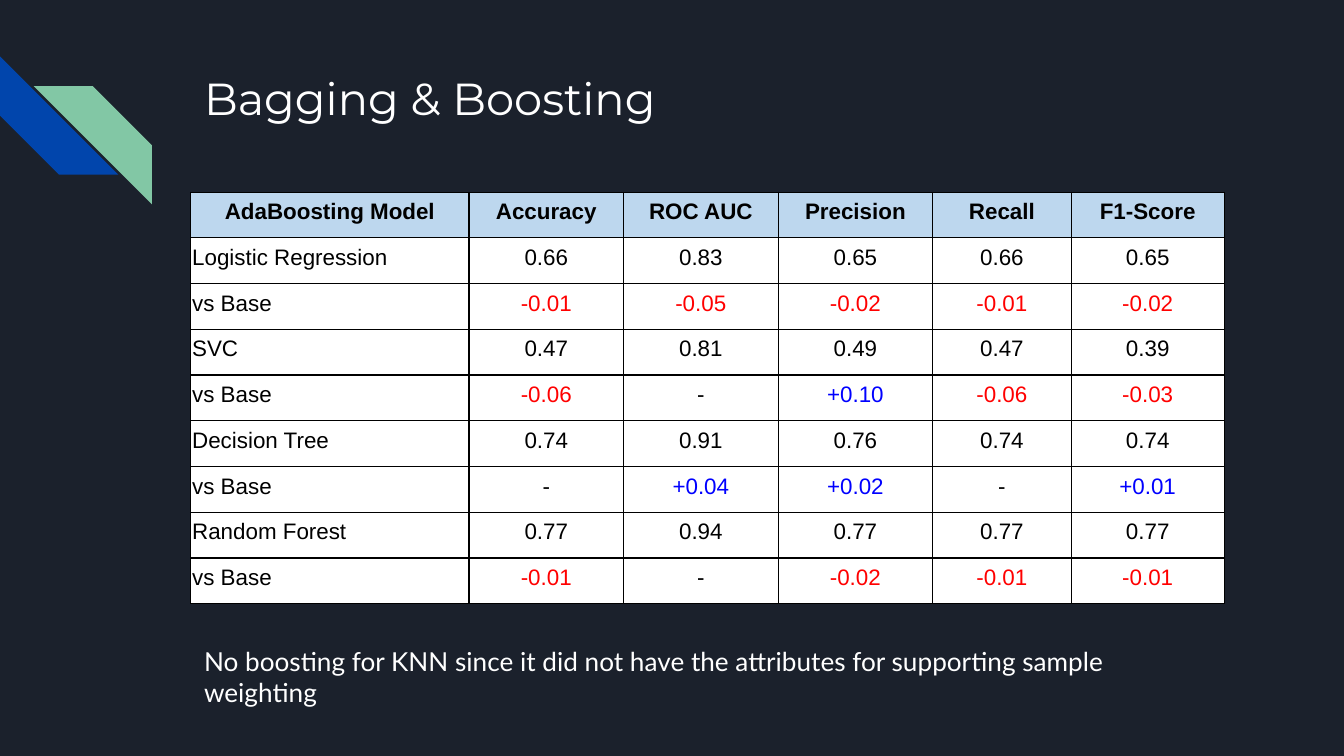
import pptx
import pptx.util
import pptx.dml.color
import pptx.enum.shapes
import pptx.enum.text
import pptx.oxml.ns
import lxml.etree

Inches = pptx.util.Inches
Pt = pptx.util.Pt
RGBColor = pptx.dml.color.RGBColor
ALIGN = pptx.enum.text.PP_ALIGN
qn = pptx.oxml.ns.qn

NAVY = RGBColor(0x1B, 0x21, 0x2C)
BLUE = RGBColor(0x01, 0x45, 0xAC)
GREEN = RGBColor(0x82, 0xC7, 0xA5)
HEADER = RGBColor(0xBD, 0xD7, 0xEE)
WHITE = RGBColor(0xFF, 0xFF, 0xFF)
BLACK = RGBColor(0x00, 0x00, 0x00)
LOSS = RGBColor(0xFF, 0x00, 0x00)
GAIN = RGBColor(0x00, 0x00, 0xFF)


def write_text(tf, text, font="Arial", size=12, color=BLACK, bold=False,
               align=ALIGN.LEFT, spacing=None):
    """Fill a text frame with one formatted paragraph."""
    tf.word_wrap = True
    p = tf.paragraphs[0]
    p.alignment = align
    p.line_spacing = spacing
    r = p.add_run()
    r.text = text
    r.font.name = font
    r.font.size = Pt(size)
    r.font.bold = bold
    r.font.color.rgb = color


def add_borders(cell, color=BLACK, width=0.75):
    """Draw a solid line on all four sides of a table cell."""
    tc_pr = cell._tc.get_or_add_tcPr()
    for side in ("a:lnL", "a:lnR", "a:lnT", "a:lnB"):
        ln = lxml.etree.SubElement(tc_pr, qn(side), w=str(Pt(width)))
        fill = lxml.etree.SubElement(ln, qn("a:solidFill"))
        lxml.etree.SubElement(fill, qn("a:srgbClr"), val=str(color))


prs = pptx.Presentation()
prs.slide_width = Inches(10)
prs.slide_height = Inches(10 * 9 / 16)
s = prs.slides.add_slide(prs.slide_layouts[6])
s.background.fill.solid()
s.background.fill.fore_color.rgb = NAVY

# Corner stripes
for left, top, color, rotation, flip in ((0, 0.42, BLUE, 270, False),
                                         (0.25, 0.64, GREEN, 0, True)):
    sp = s.shapes.add_shape(pptx.enum.shapes.MSO_SHAPE.DIAGONAL_STRIPE,
                            Inches(left), Inches(top), Inches(0.88), Inches(0.88))
    sp.shadow.inherit = False
    sp.adjustments[0] = 0.5
    sp.rotation = rotation
    sp.fill.solid()
    sp.fill.fore_color.rgb = color
    sp.line.fill.background()
    if flip:
        sp._element.spPr.find(qn("a:xfrm")).set("flipH", "1")

# Title and footnote
NOTE = ("No boosting for KNN since it did not have the attributes "
        "for supporting sample weighting")
for text, top, height, font, size in (
        ("Bagging & Boosting", 0.43, 1, "Montserrat", 24),
        (NOTE, 4.7, 0.44, "Lato", 14)):
    tf = s.shapes.add_textbox(Inches(1.42), Inches(top),
                              Inches(7.7), Inches(height)).text_frame
    tf.margin_left = tf.margin_right = Inches(0.1)
    tf.margin_top = tf.margin_bottom = Inches(0.1)
    write_text(tf, text, font=font, size=size, color=WHITE)

# Score table
ROWS = [
    ["AdaBoosting Model", "Accuracy", "ROC AUC", "Precision", "Recall", "F1-Score"],
    ["Logistic Regression", "0.66", "0.83", "0.65", "0.66", "0.65"],
    ["vs Base", "-0.01", "-0.05", "-0.02", "-0.01", "-0.02"],
    ["SVC", "0.47", "0.81", "0.49", "0.47", "0.39"],
    ["vs Base", "-0.06", "-", "+0.10", "-0.06", "-0.03"],
    ["Decision Tree", "0.74", "0.91", "0.76", "0.74", "0.74"],
    ["vs Base", "-", "+0.04", "+0.02", "-", "+0.01"],
    ["Random Forest", "0.77", "0.94", "0.77", "0.77", "0.77"],
    ["vs Base", "-0.01", "-", "-0.02", "-0.01", "-0.01"],
]
WIDTHS = [2.07, 1.15, 1.15, 1.15, 1.03, 1.14]
ROW_HEIGHT = 0.22

frame = s.shapes.add_table(len(ROWS), len(WIDTHS), Inches(1.42), Inches(1.43),
                           Inches(sum(WIDTHS)), Inches(2.89))
table = frame.table
table.horz_banding = False
for column, width in zip(table.columns, WIDTHS):
    column.width = Inches(width)
for i, row in enumerate(ROWS):
    table.rows[i].height = Inches(ROW_HEIGHT)
    for j, text in enumerate(row):
        cell = table.cell(i, j)
        cell.margin_left = cell.margin_right = cell.margin_top = Inches(0.01)
        cell.margin_bottom = Inches(0.1)
        cell.vertical_anchor = pptx.enum.text.MSO_ANCHOR.BOTTOM
        add_borders(cell)
        cell.fill.solid()
        cell.fill.fore_color.rgb = HEADER if i == 0 else WHITE
        color = BLACK
        if len(text) > 1:
            color = {"-": LOSS, "+": GAIN}.get(text[0], BLACK)
        centred = i == 0 or j > 0
        write_text(cell.text_frame, text, color=color, bold=i == 0,
                   align=ALIGN.CENTER if centred else ALIGN.LEFT,
                   spacing=1.15 if centred else None)
frame.height = Inches(2.89)

prs.save("out.pptx")
